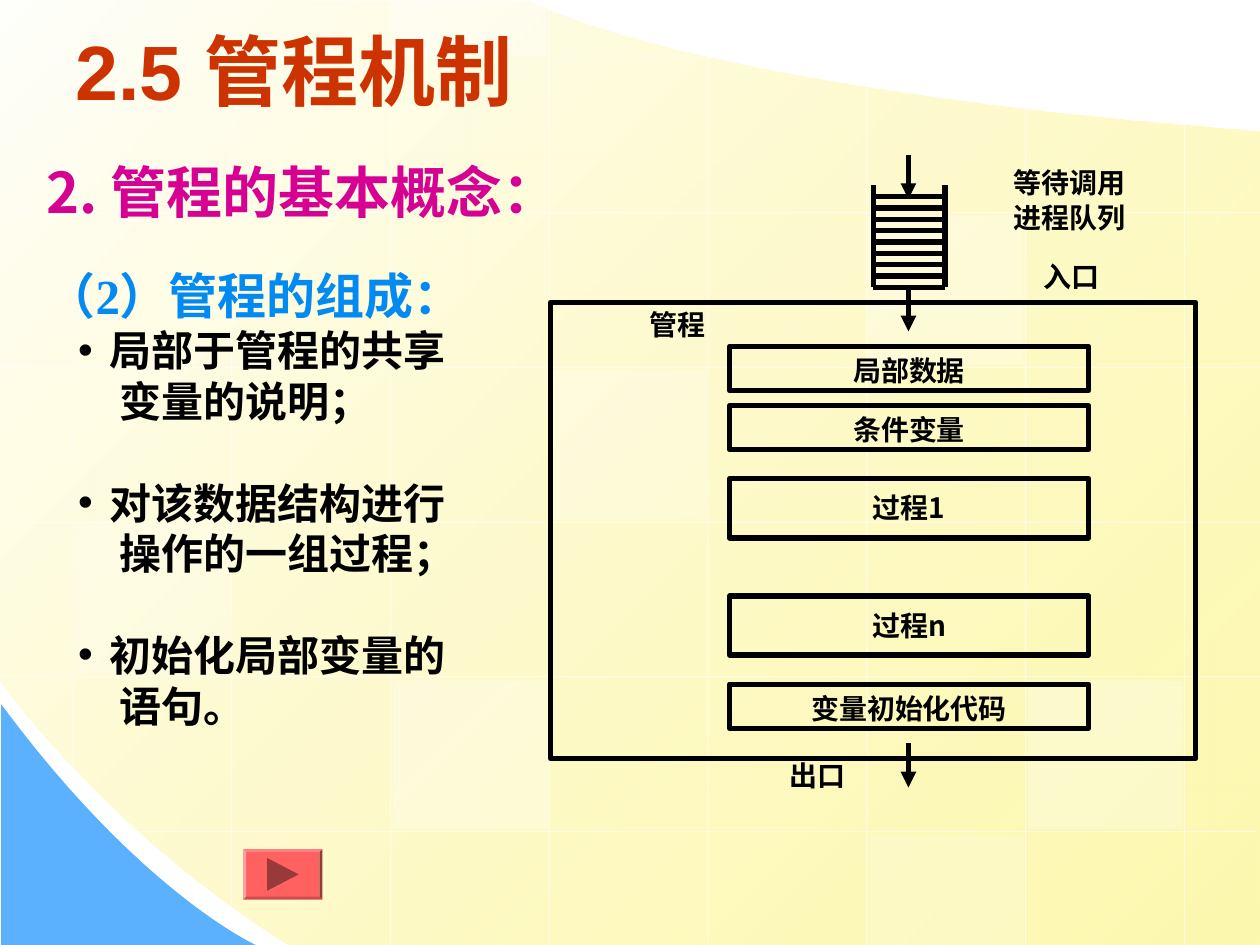
from lxml import etree
from pptx import Presentation
from pptx import util as u
from pptx.dml.color import RGBColor
from pptx.enum import shapes, text
from pptx.oxml.ns import qn

Inches, Pt = u.Inches, u.Pt
COLORS = {name: RGBColor.from_string(value) for name, value in {
    "white": "FFFFFF", "black": "000000", "cream": "FFFFFB", "yellow": "FDF58D",
    "sky": "5CB1FE", "title": "CC3300", "heading": "D60093", "subheading": "008AF2",
    "button": "FF6161", "arrow": "993A3A"}.items()}
CJK = "Noto Sans CJK SC"

deck = Presentation()
deck.slide_width, deck.slide_height = Inches(10), Inches(7.5)
page = deck.slides.add_slide(deck.slide_layouts[1])
title, body = page.placeholders


def draw_line(start, end, color="black", width=3, arrow=False):
    line = page.shapes.add_connector(
        shapes.MSO_CONNECTOR.STRAIGHT, *(Inches(v) for v in (*start, *end)))
    line.line.color.rgb = COLORS[color]
    line.line.width = Pt(width)
    if arrow:
        etree.SubElement(line.line._get_or_add_ln(), qn("a:tailEnd"), type="triangle")
    etree.SubElement(line.element.spPr, qn("a:effectLst"))
    return line


def draw_outline(start, segments, color):
    """Each segment is an end point, or two control points and an end point."""
    points = [start]
    for segment in segments:
        if len(segment) == 2:
            points.append(segment)
            continue
        begin, first, second, end = points[-1], segment[:2], segment[2:4], segment[4:]
        for step in range(1, 25):
            t = step / 24
            points.append(tuple(
                (1 - t) ** 3 * a + 3 * t * (1 - t) ** 2 * b + 3 * t * t * (1 - t) * c + t ** 3 * d
                for a, b, c, d in zip(begin, first, second, end)))
    corners = [(Inches(x), Inches(y)) for x, y in points]
    builder = page.shapes.build_freeform(*corners[0])
    builder.add_line_segments(corners[1:], close=True)
    outline = builder.convert_to_shape()
    outline.shadow.inherit = False
    outline.fill.solid()
    outline.fill.fore_color.rgb = COLORS[color]
    outline.line.fill.background()
    return outline


# Backdrop: pale yellow field and blue corner
field = draw_outline((10, 1.04), [
    (10, 7.5), (2.3, 7.5), (0.86, 6.61, -0.01, 5.39, 0, 5.39), (-0.01, -0.01),
    (4.21, 0.01), (4.21, 0.01, 5.37, 0.69, 10, 1.04)], "yellow")
field.fill.gradient()
field.fill.gradient_angle = 315
for stop, color, position in zip(field.fill.gradient_stops, ("cream", "yellow"), (0, 1)):
    stop.color.rgb = COLORS[color]
    stop.position = position
translucent = [(field, 70)]
draw_outline((0.01, 5.59), [(0.01, 7.5), (2.03, 7.5), (2.03, 7.5, 1.12, 7.09, 0.01, 5.59)], "sky")

# Backdrop: white grid
columns = [(0, 6.09), (0, 7.19), (0, 7.5), (0, 7.52),
           (0.43, 7.52), (0.68, 7.52), (0.85, 7.52), (0.98, 7.52)]
rows = [(0, 5.68)] + [(0, 10.01)] * 4 + [(1.11, 9.97)]
for index, (top, bottom) in enumerate(columns):
    x = 0.58 + 1.26 * index
    translucent.append((draw_line((x, top), (x, bottom), "white", 0.75), 50))
for index, (left, right) in enumerate(rows):
    y = 0.46 + 1.228 * index
    translucent.append((draw_line((right, y), (left, y), "white", 0.75), 50))

# Backdrop: lighter tiles
for left, top, height, opacity in [
        (4.38, 2.94, 1.18, 25), (8.16, 5.4, 1.18, 30), (0.6, 4.16, 1.18, 20),
        (6.9, 6.63, 0.87, 20), (3.11, 0, 0.44, 40), (3.12, 5.4, 1.18, 30),
        (6.89, 1.71, 1.18, 30)]:
    tile = page.shapes.add_shape(shapes.MSO_SHAPE.RECTANGLE, Inches(left), Inches(top),
                                 Inches(1.23), Inches(height))
    tile.shadow.inherit = False
    tile.fill.solid()
    tile.fill.fore_color.rgb = COLORS["white"]
    tile.line.fill.background()
    translucent.append((tile, opacity))
for item, opacity in translucent:
    last_color = list(item.element.spPr.iter(qn("a:srgbClr")))[-1]
    etree.SubElement(last_color, qn("a:alpha"), val=str(opacity * 1000))

# Title and list, placed in front of the backdrop
for holder, place, anchor in [
        (body, (0.27, 1.15, 4.38, 5.04), text.MSO_ANCHOR.TOP),
        (title, (0.5, 0.05, 9, 1.01), text.MSO_ANCHOR.MIDDLE)]:
    holder.element.getparent().append(holder.element)
    holder.left, holder.top, holder.width, holder.height = (Inches(v) for v in place)
    holder.text_frame.vertical_anchor = anchor
    holder.text_frame.auto_size = text.MSO_AUTO_SIZE.NONE

para = title.text_frame.paragraphs[0]
para.alignment = text.PP_ALIGN.LEFT
span = para.add_run()
span.text = "2.5 管程机制"
span.font.color.rgb = COLORS["title"]
for name, value in {"size": Pt(44), "name": "Arial", "bold": True}.items():
    setattr(span.font, name, value)

styles = {  # size, font, color, line height, space before, left margin, indent
    "heading": (32, CJK, "heading", 42, 0, 0, 0),
    "subheading": (28, "Times New Roman", "subheading", 34, 23, 0, 0),
    "first": (24, "Times New Roman", "black", 29, 0, 0.5, -0.25),
    "bullet": (24, "Times New Roman", "black", 29, 29, 0.5, -0.25),
    "follow": (24, "Times New Roman", "black", 29, 0, 0.58, 0)}
items = [("heading", "2. 管程的基本概念："), ("subheading", "（2）管程的组成："),
         ("first", "局部于管程的共享"), ("follow", "变量的说明；"),
         ("bullet", "对该数据结构进行"), ("follow", "操作的一组过程；"),
         ("bullet", "初始化局部变量的"), ("follow", "语句。")]
for index, (style, words) in enumerate(items):
    size, font, color, height, before, margin, indent = styles[style]
    para = body.text_frame.add_paragraph() if index else body.text_frame.paragraphs[0]
    for name, value in {"level": 1 if margin else 0, "line_spacing": Pt(height),
                        "space_before": Pt(before), "space_after": Pt(0)}.items():
        setattr(para, name, value)
    properties = para._p.get_or_add_pPr()
    properties.set("marL", str(Inches(margin)))
    properties.set("indent", str(Inches(indent)))
    if indent:
        etree.SubElement(properties, qn("a:buFont"), typeface="Arial")
        etree.SubElement(properties, qn("a:buChar"), char="•")
    else:
        etree.SubElement(properties, qn("a:buNone"))
    span = para.add_run()
    span.text = words
    span.font.color.rgb = COLORS[color]
    for name, value in {"size": Pt(size), "name": font, "bold": True}.items():
        setattr(span.font, name, value)

# Forward button
button = page.shapes.add_shape(shapes.MSO_SHAPE.BEVEL, Inches(1.93), Inches(6.74),
                               Inches(0.63), Inches(0.4))
button.adjustments[0] = 0.06
button.shadow.inherit = False
button.fill.solid()
button.fill.fore_color.rgb = COLORS["button"]
button.line.fill.background()
draw_outline((2.12, 6.81), [(2.37, 6.94), (2.12, 7.07)], "arrow")

# Monitor diagram: frame, boxes and labels
diagram = [  # text, place, top inset, framed
    ("", (4.37, 2.4, 5.12, 3.62), 0, True),
    ("局部数据", (5.79, 2.75, 2.85, 0.35), 0.05, True),
    ("条件变量", (5.79, 3.22, 2.85, 0.35), 0.05, True),
    ("过程1", (5.79, 3.8, 2.85, 0.47), 0.09, True),
    ("过程n", (5.79, 4.73, 2.85, 0.47), 0.09, True),
    ("变量初始化代码", (5.79, 5.43, 2.85, 0.35), 0.05, True),
    ("出口", (5.76, 6.01, 1.45, 0.3), 0, False),
    ("管程", (4.65, 2.43, 1.45, 0.32), 0, False),
    ("入口", (7.78, 2.05, 1.45, 0.34), 0, False),
    ("等待调用\n进程队列", (7.78, 1.31, 1.42, 0.62), 0, False)]
for words, place, inset, framed in diagram:
    place = [Inches(v) for v in place]
    if framed:
        box = page.shapes.add_shape(shapes.MSO_SHAPE.RECTANGLE, *place)
        box.shadow.inherit = False
        box.fill.background()
        box.line.color.rgb = COLORS["black"]
        box.line.width = Pt(3)
    else:
        box = page.shapes.add_textbox(*place)
    for name, value in {"word_wrap": True, "vertical_anchor": text.MSO_ANCHOR.TOP,
                        "margin_left": 0, "margin_right": 0,
                        "margin_top": Inches(inset), "margin_bottom": 0}.items():
        setattr(box.text_frame, name, value)
    box.text_frame.text = words
    for para in box.text_frame.paragraphs:
        para.alignment = text.PP_ALIGN.CENTER
        para.line_spacing = Pt(19.7)
        for span in para.runs:
            span.font.color.rgb = COLORS["black"]
            for name, value in {"size": Pt(16), "name": CJK, "bold": True}.items():
                setattr(span.font, name, value)

# Waiting queue and the flow arrows
for x in (6.93, 7.5):
    draw_line((x, 1.47), (x, 2.28))
for index in range(9):
    y = 2.28 - 0.09 * index
    draw_line((6.93, y), (7.5, y))
for top in (1.23, 2.28, 5.9):
    draw_line((7.21, top), (7.21, top + 0.35), arrow=True)

# East Asian font for every run
for properties in page.element.iter(qn("a:rPr")):
    etree.SubElement(properties, qn("a:ea"), typeface=CJK)

deck.save("out.pptx")
